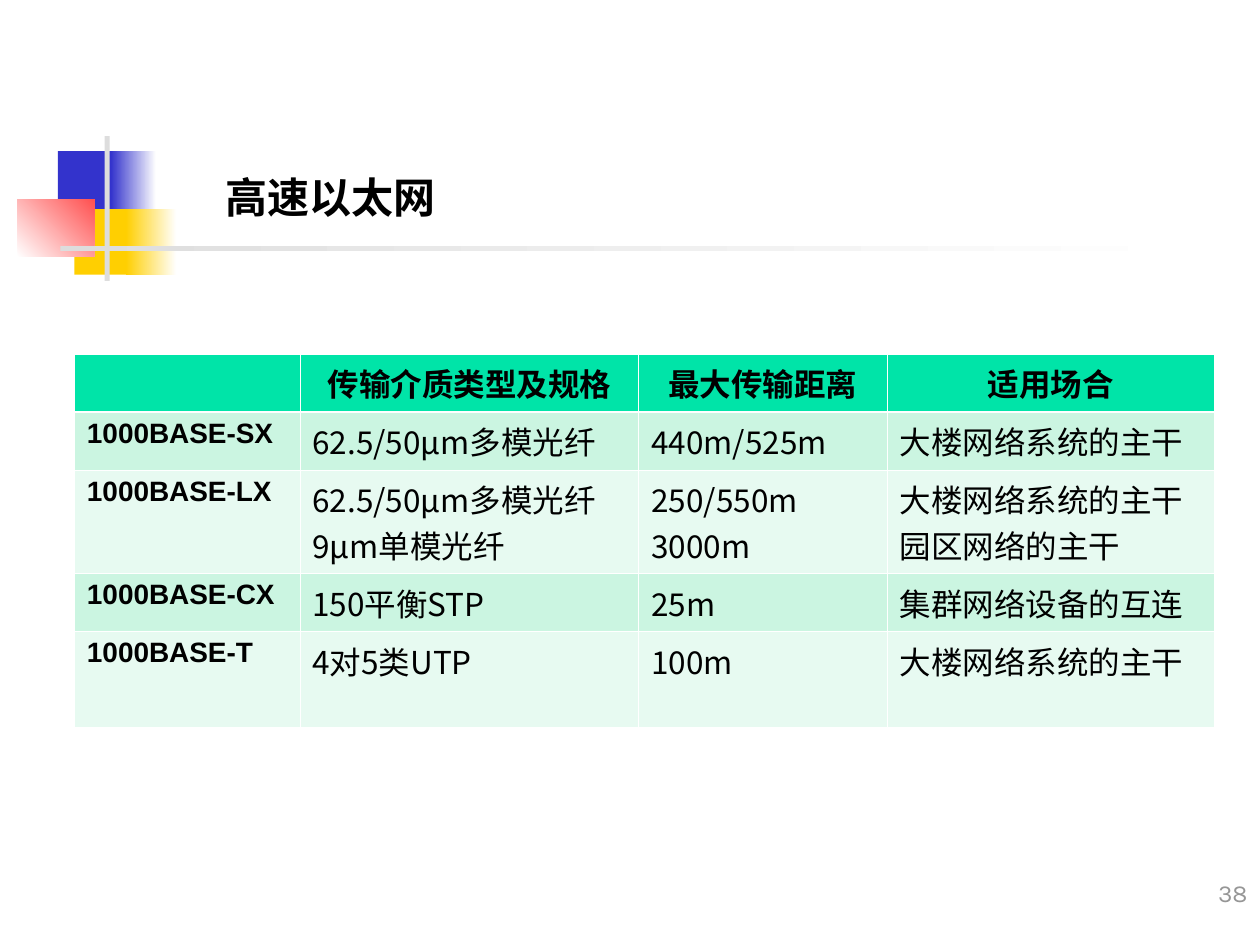
"""Build a slide comparing the gigabit Ethernet media standards."""
from lxml.etree import SubElement
from pptx import Presentation
from pptx.dml.color import RGBColor
from pptx.enum.shapes import MSO_SHAPE
from pptx.enum.text import MSO_ANCHOR, PP_ALIGN
from pptx.oxml.ns import qn
from pptx.util import Inches, Pt

TITLE = "高速以太网"
PAGE_NUMBER = "38"
HEADERS = ["", "传输介质类型及规格", "最大传输距离", "适用场合"]
STANDARDS = [
    ["1000BASE-SX", "62.5/50μm多模光纤", "440m/525m", "大楼网络系统的主干"],
    ["1000BASE-LX", "62.5/50μm多模光纤\n9μm单模光纤", "250/550m\n3000m",
     "大楼网络系统的主干\n园区网络的主干"],
    ["1000BASE-CX", "150平衡STP", "25m", "集群网络设备的互连"],
    ["1000BASE-T", "4对5类UTP", "100m", "大楼网络系统的主干"],
]
COLUMN_WIDTHS = [1.79, 2.69, 1.97, 2.6]
ROW_HEIGHTS = [0.46, 0.46, 0.82, 0.46, 0.76]

THEME = {
    "blue": "3333CC", "yellow": "FFCF01", "red": "FF5050", "rule": "DDDDDD",
    "white": "FFFFFF", "black": "000000", "grey": "969696",
    "header": "00E4A8", "bands": ["CBF5E1", "E7FAF1"],
    "latin": "Arial", "cjk": "Noto Sans CJK SC", "number": "Karla",
    "title_size": 24, "body_size": 18, "label_size": 16, "number_size": 14,
    "border": 0.45, "header_border": 1.47,
}
DECORATIONS = [
    ((0.46, 1.2, 0.48, 0.52), ["blue"], 0),
    ((0.88, 1.2, 0.36, 0.52), ["blue", "white"], 0),
    ((0.59, 1.66, 0.46, 0.52), ["yellow"], 0),
    ((1, 1.66, 0.4, 0.52), ["yellow", "white"], 0),
    ((0.14, 1.58, 0.61, 0.46), ["white", "red"], 45),
    ((0.83, 1.08, 0.04, 1.15), ["rule"], 0),
    ((0.48, 1.95, 9, 0.04), ["rule", "white"], 0),
]


def color(value):
    return RGBColor.from_string(value)


def style_text(frame, size, font, ink="black", bold=False, align=PP_ALIGN.LEFT):
    for paragraph in frame.paragraphs:
        paragraph.alignment = align
        for run in paragraph.runs:
            run.font.size = Pt(size)
            run.font.name = THEME[font]
            run.font.bold = bold
            run.font.color.rgb = color(THEME[ink])
            east_asian = SubElement(run.font._element, qn("a:ea"))
            east_asian.set("typeface", THEME["cjk"])


def add_decoration(slide, box, inks, angle):
    block = slide.shapes.add_shape(MSO_SHAPE.RECTANGLE, *map(Inches, box))
    block.shadow.inherit = False
    block.line.fill.background()
    if len(inks) == 1:
        block.fill.solid()
        block.fill.fore_color.rgb = color(THEME[inks[0]])
        return
    block.fill.gradient()
    block.fill.gradient_angle = angle
    for position, (stop, ink) in enumerate(zip(block.fill.gradient_stops, inks)):
        stop.position = position
        stop.color.rgb = color(THEME[ink])


def set_borders(cell, row):
    heavy_side = {0: "lnB", 1: "lnT"}.get(row)
    properties = cell._tc.get_or_add_tcPr()
    for side in ("lnL", "lnR", "lnT", "lnB"):
        width = THEME["header_border" if side == heavy_side else "border"]
        line = SubElement(properties, qn(f"a:{side}"), w=str(Pt(width)))
        fill = SubElement(line, qn("a:solidFill"))
        SubElement(fill, qn("a:srgbClr"), val=THEME["white"])


def add_standards_table(slide):
    rows = [HEADERS] + STANDARDS
    size = sum(COLUMN_WIDTHS), sum(ROW_HEIGHTS)
    table = slide.shapes.add_table(
        len(rows), len(HEADERS), *map(Inches, (0.59, 2.81, *size))).table
    for column, width in zip(table.columns, COLUMN_WIDTHS):
        column.width = Inches(width)
    for r, (values, height) in enumerate(zip(rows, ROW_HEIGHTS)):
        table.rows[r].height = Inches(height)
        for c, value in enumerate(values):
            cell = table.cell(r, c)
            cell.text_frame.text = value
            set_borders(cell, r)
            cell.fill.solid()
            band = THEME["bands"][(r - 1) % 2] if r else THEME["header"]
            cell.fill.fore_color.rgb = color(band)
            heading = r == 0 or c == 0
            style_text(
                cell.text_frame,
                THEME["label_size" if r and c == 0 else "body_size"],
                "latin" if heading else "cjk", bold=heading,
                align=PP_ALIGN.LEFT if r else PP_ALIGN.CENTER)


def main():
    deck = Presentation()
    deck.slide_width, deck.slide_height = Inches(10), Inches(7.5)
    slide = deck.slides.add_slide(deck.slide_layouts[5])
    for decoration in DECORATIONS:
        add_decoration(slide, *decoration)

    title = slide.shapes.title
    title.left, title.top, title.width, title.height = map(
        Inches, (1.69, 0.76, 7.48, 1.05))
    title.text_frame.text = TITLE
    title.text_frame.vertical_anchor = MSO_ANCHOR.BOTTOM
    style_text(title.text_frame, THEME["title_size"], "cjk", bold=True)

    number = slide.shapes.add_textbox(*map(Inches, (7.92, 6.75, 2.08, 0.5)))
    number.text_frame.word_wrap = True
    number.text_frame.vertical_anchor = MSO_ANCHOR.BOTTOM
    number.text_frame.text = PAGE_NUMBER
    style_text(number.text_frame, THEME["number_size"], "number", "grey",
               align=PP_ALIGN.RIGHT)

    add_standards_table(slide)
    deck.save("out.pptx")


if __name__ == "__main__":
    main()
